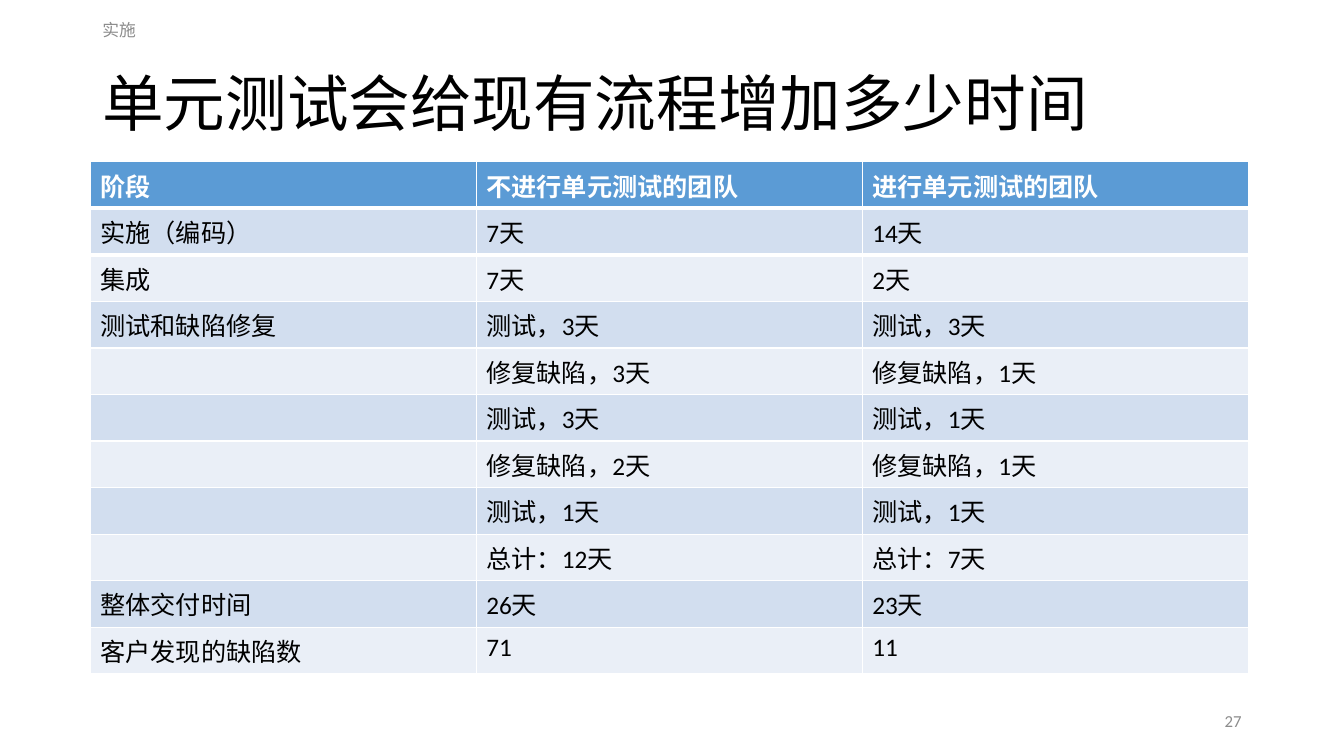
"""Build a slide comparing delivery time with and without unit testing."""
from pptx import Presentation
from pptx.dml.color import RGBColor
from pptx.enum.text import MSO_ANCHOR as Anchor, PP_ALIGN as Align
from pptx.oxml import parse_xml
from pptx.oxml.ns import nsdecls
from pptx.util import Emu, Pt

PX = 9525
BLACK, WHITE, GREY = "000000", "FFFFFF", "8C8C8C"
HEADER_FILL, BAND_FILLS = "5B9BD5", ("EAEFF7", "D2DEEF")
HEADER_RULE_SIDES = ("lnB", "lnT")


def color(value):
    return RGBColor.from_string(value)


def write(frame, text, size=18, fill=BLACK, bold=False, align=Align.LEFT, spacing=None):
    frame.word_wrap = True
    paragraph = frame.paragraphs[0]
    paragraph.alignment = align
    paragraph.line_spacing = spacing
    paragraph.font.size = Pt(size)
    if text:
        run = paragraph.add_run()
        run.text = text
        run.font.name = "Calibri"
        run.font.size = Pt(size)
        run.font.bold = bold
        run.font.color.rgb = color(fill)


presentation = Presentation()
presentation.slide_width = Emu(1280 * PX)
presentation.slide_height = Emu(720 * PX)
slide = presentation.slides.add_slide(presentation.slide_layouts[6])

text_boxes = [
    ((88, 50, 1104, 103), "单元测试会给现有流程增加多少时间", dict(size=44, spacing=0.9)),
    ((88, 9, 432, 38), "实施", dict(size=12, fill=GREY)),
    ((904, 667, 288, 38), "27", dict(size=12, fill=GREY, align=Align.RIGHT)),
]
for box, text, style in text_boxes:
    shape = slide.shapes.add_textbox(*(Emu(length * PX) for length in box))
    shape.text_frame.vertical_anchor = Anchor.MIDDLE
    write(shape.text_frame, text, **style)

rows = [
    ("阶段", "不进行单元测试的团队", "进行单元测试的团队"),
    ("实施（编码）", "7天", "14天"),
    ("集成", "7天", "2天"),
    ("测试和缺陷修复", "测试，3天", "测试，3天"),
    ("", "修复缺陷，3天", "修复缺陷，1天"),
    ("", "测试，3天", "测试，1天"),
    ("", "修复缺陷，2天", "修复缺陷，1天"),
    ("", "测试，1天", "测试，1天"),
    ("", "总计：12天", "总计：7天"),
    ("整体交付时间", "26天", "23天"),
    ("客户发现的缺陷数", "71", "11"),
]
table_box = (86, 154, 1103, 488)
table = slide.shapes.add_table(
    len(rows), 3, *(Emu(length * PX) for length in table_box)
).table
for row_index, row in enumerate(rows):
    is_header = row_index == 0
    for column_index, text in enumerate(row):
        cell = table.cell(row_index, column_index)
        cell.fill.solid()
        cell.fill.fore_color.rgb = color(HEADER_FILL if is_header else BAND_FILLS[row_index % 2])
        write(cell.text_frame, text, fill=WHITE if is_header else BLACK, bold=is_header)
        for side in HEADER_RULE_SIDES[row_index:row_index + 1]:
            cell._tc.get_or_add_tcPr().insert(0, parse_xml(
                f'<a:{side} {nsdecls("a")} w="{Pt(3)}"><a:solidFill>'
                f'<a:srgbClr val="{WHITE}"/></a:solidFill></a:{side}>'
            ))

presentation.save("out.pptx")
